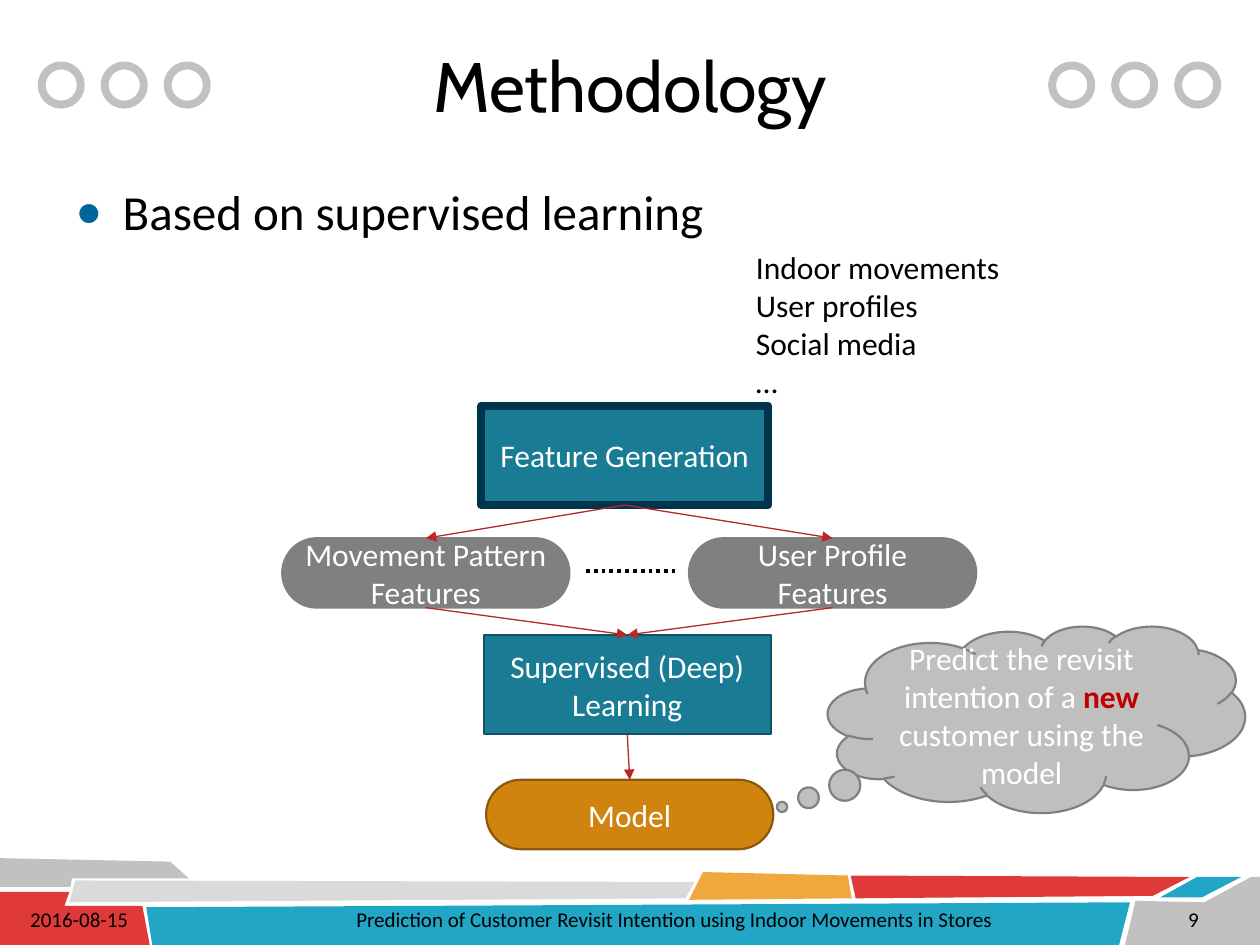
import collections

import lxml.etree
import pptx
import pptx.dml.color
import pptx.enum.dml
import pptx.enum.shapes
import pptx.enum.text
import pptx.oxml.ns
import pptx.util

Box = collections.namedtuple("Box", "left top width height")
Cm, Pt = pptx.util.Cm, pptx.util.Pt
SHAPE = pptx.enum.shapes.MSO_SHAPE
ALIGN = pptx.enum.text.PP_ALIGN
STRAIGHT = pptx.enum.shapes.MSO_CONNECTOR.STRAIGHT
TOP, BOTTOM = 0, 2


def color(hex_string):
    """Turn a hex string into a colour."""
    return pptx.dml.color.RGBColor.from_string(hex_string)


def inside(box, left, top, width, height):
    """Give the absolute box of a part placed relative to its region."""
    return Box(box.left + left, box.top + top, width, height)


def lengths(box):
    """Convert a box to lengths."""
    return [Cm(value) for value in box]


def add_element(parent, tag, **attributes):
    """Append a drawing element to a parent element."""
    element = lxml.etree.SubElement(parent, pptx.oxml.ns.qn(tag))
    for name, value in attributes.items():
        element.set(name, value)
    return element


def add_run(para, text, size, hex_string="000000", font="Calibri", bold=False):
    """Add one formatted run to a paragraph."""
    span = para.add_run()
    span.text = text
    span.font.size = Pt(size)
    span.font.name = font
    span.font.bold = bold
    span.font.color.rgb = color(hex_string)


def add_text_box(page, box):
    """Add an empty wrapping text box and return its frame."""
    frame = page.shapes.add_textbox(*lengths(box)).text_frame
    frame.word_wrap = True
    return frame


def style_shape(shape, fill, line=None, weight=1.25):
    """Set the fill and outline of a shape and take off its shadow."""
    shape.shadow.inherit = False
    if fill:
        shape.fill.solid()
        shape.fill.fore_color.rgb = color(fill)
    else:
        shape.fill.background()
    if line:
        shape.line.color.rgb = color(line)
        shape.line.width = Pt(weight)
    else:
        shape.line.fill.background()


def add_node(page, kind, box, spans, fill, line, weight=1.25):
    """Add a filled shape with centred text made of (text, colour, bold) spans."""
    node = page.shapes.add_shape(kind, *lengths(box))
    style_shape(node, fill, line, weight)
    frame = node.text_frame
    frame.word_wrap = True
    frame.vertical_anchor = pptx.enum.text.MSO_ANCHOR.MIDDLE
    para = frame.paragraphs[0]
    para.alignment = ALIGN.CENTER
    for text, hex_string, bold in spans:
        add_run(para, text, 18, hex_string, bold=bold)
    return node


def style_connector(connector, hex_string, weight):
    """Set the line of a connector and take off its shadow."""
    connector.line.color.rgb = color(hex_string)
    connector.line.width = Pt(weight)
    add_element(connector._element.spPr, "a:effectLst")


def add_arrow(page, source, target):
    """Join the bottom of one node to the top of another with an arrow."""
    arrow = page.shapes.add_connector(STRAIGHT, 0, 0, 0, 0)
    arrow.begin_connect(source, BOTTOM)
    arrow.end_connect(target, TOP)
    style_connector(arrow, "B92727", 0.75)
    add_element(arrow.line._get_or_add_ln(), "a:tailEnd", type="triangle")


def add_footer(page, box):
    """Draw the coloured footer band and its three texts."""
    bands = [
        ("C1C1C1", [(0, 0), (3.43, 0.07), (3.81, 0.41), (1.45, 0.41), (1.42, 0.58), (0, 0.58)]),
        ("DF3939", [(0, 0.68), (1.4, 0.68), (1.3, 0.96), (2.87, 0.96), (3.02, 1.75), (0, 1.75)]),
        ("DADADA", [(1.52, 0.45), (14, 0.48), (13.82, 0.81), (1.4, 0.89)]),
        ("21A6C5", [(2.95, 0.99), (22.78, 0.89), (22.56, 1.75), (3.07, 1.75)]),
        ("F0A73C", [(14.17, 0.28), (17.09, 0.35), (17.17, 0.81), (13.89, 0.84)]),
        ("DF3939", [(17.15, 0.35), (23.98, 0.38), (23.24, 0.76), (17.25, 0.81)]),
        ("21A6C5", [(24.13, 0.38), (25.02, 0.38), (24.23, 0.79), (23.39, 0.79)]),
        ("C1C1C1", [(22.89, 0.86), (24.28, 0.89), (25.22, 0.38), (25.4, 0.38),
                    (25.4, 1.75), (22.68, 1.75)]),
    ]
    for fill, corners in bands:
        points = [(Cm(box.left + x), Cm(box.top + y)) for x, y in corners]
        builder = page.shapes.build_freeform(*points[0])
        builder.add_line_segments(points[1:], close=True)
        style_shape(builder.convert_to_shape(), fill)
    texts = [
        ("Prediction of Customer Revisit Intention using Indoor Movements in Stores",
         6.5, 14.2, ALIGN.CENTER),
        ("2016-08-15", 0.36, 2.95, ALIGN.LEFT),
        ("9", 23.7, 1.27, ALIGN.LEFT),
    ]
    for text, left, width, alignment in texts:
        para = add_text_box(page, inside(box, left, 0.86, width, 0.76)).paragraphs[0]
        para.alignment = alignment
        add_run(para, text, 12)


def add_header(page, box):
    """Place the title between two groups of three rings."""
    for group in (0.84, 21.21):
        for index in range(3):
            ring_box = inside(box, group + index * 1.27, 1.02, 0.79, 0.79)
            ring = page.shapes.add_shape(SHAPE.OVAL, *lengths(ring_box))
            style_shape(ring, None, "C1C1C1", 4.5)
    title = page.shapes.title
    title.left, title.top, title.width, title.height = lengths(
        inside(box, 4.45, 0, 16.5, box.height))
    frame = title.text_frame
    frame.auto_size = pptx.enum.text.MSO_AUTO_SIZE.NONE
    frame.vertical_anchor = pptx.enum.text.MSO_ANCHOR.MIDDLE
    para = frame.paragraphs[0]
    para.alignment = ALIGN.CENTER
    add_run(para, "Methodology", 40, font="Cabin")


def add_body(page, box):
    """Fill the body placeholder with its bulleted line."""
    body = page.placeholders[1]
    body.left, body.top, body.width, body.height = lengths(box)
    body.text_frame.auto_size = pptx.enum.text.MSO_AUTO_SIZE.NONE
    para = body.text_frame.paragraphs[0]
    properties = para._p.get_or_add_pPr()
    properties.set("marL", str(Cm(0.95)))
    properties.set("indent", str(-Cm(0.95)))
    bullet_color = add_element(properties, "a:buClr")
    add_element(bullet_color, "a:srgbClr", val="006699")
    add_element(properties, "a:buSzPct", val="90000")
    add_element(properties, "a:buChar", char="●")
    para.space_before = Pt(0)
    add_run(para, "Based on supervised learning", 28)


def add_diagram(page, box):
    """Draw the learning flow from feature generation to the model."""
    nodes = {}
    for text, kind, left, top, height, fill, line, weight in [
        ("Supervised (Deep) Learning", SHAPE.RECTANGLE, 4.06, 4.62, 2, "197C94", "115362", 1.25),
        ("Feature Generation", SHAPE.RECTANGLE, 4.01, 0, 2, "197C94", "00334C", 4.5),
        ("Movement Pattern Features", SHAPE.ROUNDED_RECTANGLE, 0, 2.67, 1.4,
         "808080", "808080", 1.25),
        ("User Profile Features", SHAPE.ROUNDED_RECTANGLE, 8.2, 2.67, 1.4,
         "808080", "808080", 1.25),
        ("Model", SHAPE.ROUNDED_RECTANGLE, 4.11, 7.54, 1.4, "D18310", "8B570B", 1.25),
    ]:
        node = add_node(page, kind, inside(box, left, top, 5.79, height),
                        [(text, "FFFFFF", False)], fill, line, weight)
        if kind == SHAPE.ROUNDED_RECTANGLE:
            node.adjustments[0] = 0.5
        nodes[text] = node
    learning, generation, movement, profile, model = nodes.values()
    dots = page.shapes.add_connector(
        STRAIGHT, Cm(box.left + 6.12), Cm(box.top + 3.33), Cm(box.left + 7.92), Cm(box.top + 3.33))
    style_connector(dots, "000000", 2.25)
    dots.line.dash_style = pptx.enum.dml.MSO_LINE.ROUND_DOT
    for source, target in [(generation, movement), (generation, profile),
                           (movement, learning), (profile, learning), (learning, model)]:
        add_arrow(page, source, target)


def add_sources(page, box):
    """List the data sources beside the flow."""
    frame = add_text_box(page, box)
    pairs = [("Indoor movements", "User profiles"), ("Social media", "…")]
    for index, (first, second) in enumerate(pairs):
        para = frame.add_paragraph() if index else frame.paragraphs[0]
        add_run(para, first, 18)
        para.add_line_break()
        add_run(para, second, 18)


def add_goal(page, box):
    """Draw the thought cloud that states the goal of the model."""
    spans = [("Predict the revisit intention of a ", "FFFFFF", False),
             ("new", "C00000", True),
             (" customer using the model", "FFFFFF", False)]
    cloud = add_node(page, SHAPE.CLOUD_CALLOUT, box, spans, "BFBFBF", "808080")
    cloud.adjustments[0] = -0.61
    cloud.adjustments[1] = 0.47


def main():
    """Build the deck and save it."""
    deck = pptx.Presentation()
    deck.slide_width, deck.slide_height = Cm(25.4), Cm(19.05)
    page = deck.slides.add_slide(deck.slide_layouts[1])
    add_footer(page, Box(0, 17.3, 25.4, 1.75))
    add_header(page, Box(0, 0.3, 25.4, 2.82))
    add_body(page, Box(1.27, 3.53, 22.86, 13.49))
    add_diagram(page, Box(5.69, 8.18, 13.99, 8.94))
    add_sources(page, Box(14.99, 4.88, 5.94, 3.33))
    add_goal(page, Box(16.69, 12.62, 8.41, 3.76))
    deck.save("out.pptx")


if __name__ == "__main__":
    main()
